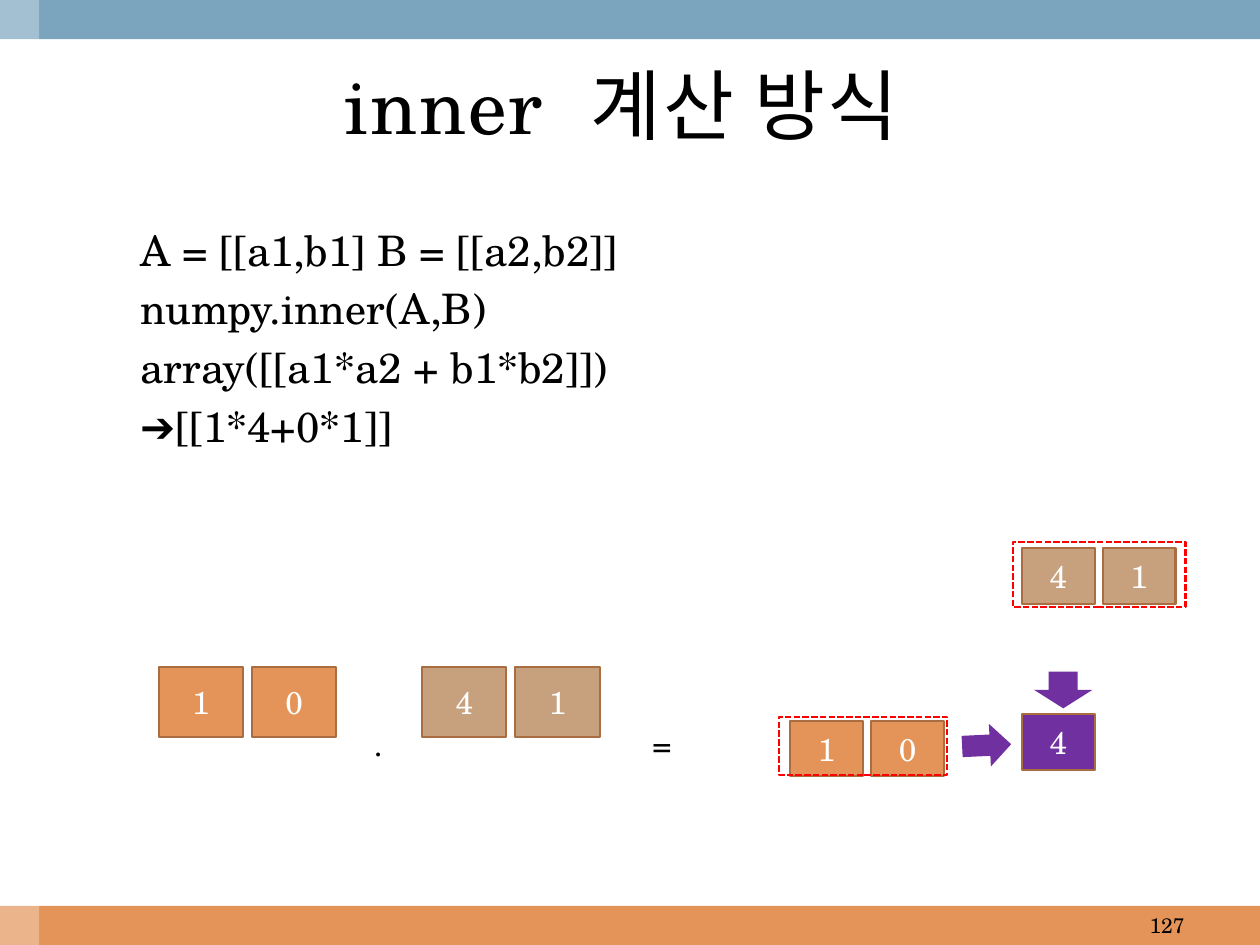
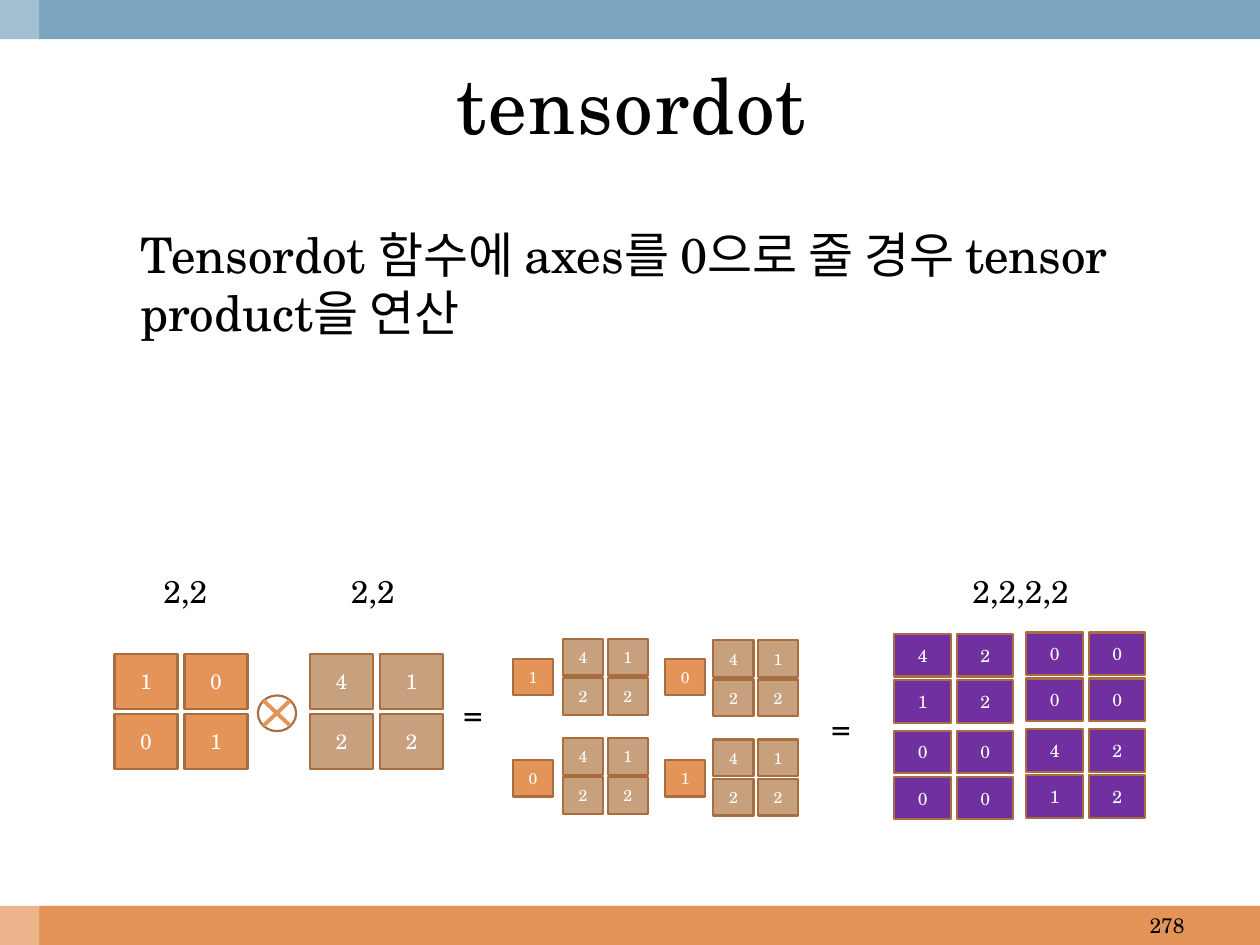
from dataclasses import dataclass
from typing import Any

from lxml import etree
from pptx import Presentation
from pptx.dml.color import RGBColor
from pptx.enum.dml import MSO_LINE
from pptx.enum.shapes import MSO_CONNECTOR, MSO_SHAPE
from pptx.enum.text import MSO_ANCHOR, MSO_AUTO_SIZE, PP_ALIGN
from pptx.oxml.ns import qn
from pptx.util import Cm, Pt

RECTANGLE, ELLIPSE, DOWN_ARROW = MSO_SHAPE.RECTANGLE, MSO_SHAPE.OVAL, MSO_SHAPE.DOWN_ARROW
STRAIGHT = MSO_CONNECTOR.STRAIGHT
DASHED = MSO_LINE.SQUARE_DOT
MIDDLE, TOP = MSO_ANCHOR.MIDDLE, MSO_ANCHOR.TOP
LEFT, CENTER, RIGHT = PP_ALIGN.LEFT, PP_ALIGN.CENTER, PP_ALIGN.RIGHT
FIXED = MSO_AUTO_SIZE.NONE

FONT = "TeX Gyre Schola"
COLOURS = {
    "first": "E49458", "second": "C7A07E", "result": "7030A0", "edge": "A96D41",
    "focus": "FF0000", "header": "7BA5BE", "ink": "000000", "paper": "FFFFFF",
}
SLIDE_WIDTH, SLIDE_HEIGHT, BAND = 25.4, 19.05, 0.79
Matrix = list[list[int]]


@dataclass(frozen=True)
class Box:
    left: float
    top: float
    width: float
    height: float

    def lengths(self) -> tuple[Cm, Cm, Cm, Cm]:
        return Cm(self.left), Cm(self.top), Cm(self.width), Cm(self.height)


@dataclass(frozen=True)
class CellStyle:
    width: float
    height: float
    column_pitch: float
    row_pitch: float
    size: int


@dataclass(frozen=True)
class CellGrid:
    left: float
    top: float
    values: Matrix
    role: str
    style: CellStyle


@dataclass(frozen=True)
class Label:
    text: str
    box: Box
    align: Any = LEFT
    size: int = 18
    anchor: Any = TOP


LARGE = CellStyle(1.7, 1.42, 1.88, 1.42, 18)
MEDIUM = CellStyle(1.47, 1.12, 1.63, 1.12, 18)
OPERAND = CellStyle(1.27, 1.12, 1.41, 1.21, 12)
SCALAR = CellStyle(0.81, 0.74, 3.07, 2.04, 9)
FACTOR = CellStyle(0.81, 0.74, 0.9, 0.79, 9)
PRODUCT = CellStyle(1.14, 0.86, 1.26, 0.93, 10)

FRAME_FORMAT = {"word_wrap": True, "auto_size": FIXED}
CELL_FORMAT = {
    "margin_left": 0, "margin_right": 0, "margin_top": 0, "margin_bottom": 0,
    "vertical_anchor": MIDDLE,
}


def colour(role: str) -> RGBColor:
    return RGBColor.from_string(COLOURS[role])


def apply_format(target: Any, values: dict[str, Any]) -> None:
    for attribute, value in values.items():
        setattr(target, attribute, value)


def write(paragraph: Any, text: str, size: int, role: str, align: Any) -> None:
    paragraph.text = text
    paragraph.alignment = align
    for run in paragraph.runs:
        apply_format(run.font, {"name": FONT, "size": Pt(size)})
        run.font.color.rgb = colour(role)


def place(shape: Any, box: Box) -> None:
    apply_format(shape, dict(zip(("left", "top", "width", "height"), box.lengths())))


def add_block(slide: Any, kind: Any, box: Box, fill: str | None = None,
              line: str | None = None) -> Any:
    block = slide.shapes.add_shape(kind, *box.lengths())
    block.shadow.inherit = False
    if fill:
        block.fill.solid()
        block.fill.fore_color.rgb = colour(fill)
    else:
        block.fill.background()
    if line:
        block.line.color.rgb = colour(line)
        block.line.width = Pt(1.25)
    else:
        block.line.fill.background()
    return block


def add_grid(slide: Any, grid: CellGrid) -> None:
    style = grid.style
    for row, values in enumerate(grid.values):
        for column, value in enumerate(values):
            box = Box(grid.left + column * style.column_pitch,
                      grid.top + row * style.row_pitch, style.width, style.height)
            cell = add_block(slide, RECTANGLE, box, grid.role, "edge")
            apply_format(cell.text_frame, CELL_FORMAT)
            write(cell.text_frame.paragraphs[0], str(value), style.size, "paper", CENTER)


def add_label(slide: Any, label: Label) -> None:
    frame = slide.shapes.add_textbox(*label.box.lengths()).text_frame
    apply_format(frame, FRAME_FORMAT | {"vertical_anchor": label.anchor})
    write(frame.paragraphs[0], label.text, label.size, "ink", label.align)


def add_stroke(slide: Any, start: tuple[float, float], end: tuple[float, float]) -> None:
    stroke = slide.shapes.add_connector(STRAIGHT, *map(Cm, start + end))
    stroke.line.color.rgb = colour("first")
    stroke.line.width = Pt(2.25)
    etree.SubElement(stroke.element.spPr, qn("a:effectLst"))


def add_master_bands(deck: Any, slide: Any) -> None:
    footer = add_block(slide, RECTANGLE, Box(0, SLIDE_HEIGHT - BAND, SLIDE_WIDTH, BAND), "first")
    header = add_block(slide, RECTANGLE, Box(0, 0, SLIDE_WIDTH, BAND), "header")
    veil = add_block(slide, RECTANGLE, Box(0, 0, BAND, SLIDE_HEIGHT), "paper")
    tint = next(veil.element.spPr.iter(qn("a:srgbClr")))
    etree.SubElement(tint, qn("a:alpha"), val="30000")
    for position, band in enumerate((footer, header, veil), start=2):
        deck.slide_master.shapes.element.insert(position, band.element)


def add_page(deck: Any, title: str, lines: list[str], size: int,
             body_height: float, number: str) -> Any:
    slide = deck.slides.add_slide(deck.slide_layouts[1])
    heading, body = slide.shapes.title, slide.placeholders[1]
    place(heading, Box(0.84, BAND, 23.77, 2.62))
    place(body, Box(1.3, 4.39, 22.86, body_height))
    apply_format(heading.text_frame, FRAME_FORMAT | {"vertical_anchor": MIDDLE})
    apply_format(body.text_frame, FRAME_FORMAT | {"vertical_anchor": TOP})
    write(heading.text_frame.paragraphs[0], title, 44, "ink", CENTER)
    for run in heading.text_frame.paragraphs[0].runs:
        run.font._element.set("spc", "100")
    for index, line in enumerate(lines):
        frame = body.text_frame
        paragraph = frame.add_paragraph() if index else frame.paragraphs[0]
        properties = paragraph._p.get_or_add_pPr()
        properties.set("marL", str(Cm(1.27)))
        properties.set("indent", "0")
        etree.SubElement(properties, qn("a:buNone"))
        apply_format(paragraph, {"level": 1, "space_before": Pt(size * 0.2 if index else 0)})
        write(paragraph, line, size, "ink", LEFT)
    add_label(slide, Label(number, Box(18.21, SLIDE_HEIGHT - BAND, 5.92, BAND), RIGHT, 12, MIDDLE))
    return slide


def draw_inner(slide: Any) -> None:
    first, second = [[1, 0]], [[4, 1]]
    inner = sum(a * b for a, b in zip(first[0], second[0]))
    for grid in (
        CellGrid(3.2, 13.44, first, "first", LARGE),
        CellGrid(8.51, 13.44, second, "second", LARGE),
        CellGrid(15.93, 14.53, first, "first", MEDIUM),
        CellGrid(20.6, 11.05, second, "second", MEDIUM),
        CellGrid(20.6, 14.4, [[inner]], "result", MEDIUM),
    ):
        add_grid(slide, grid)
    for focus in (Box(15.7, 14.45, 3.4, 1.17), Box(20.42, 10.92, 3.48, 1.32)):
        add_block(slide, RECTANGLE, focus, line="focus").line.dash_style = DASHED
    add_block(slide, DOWN_ARROW, Box(20.85, 13.54, 1.17, 0.74), "result")
    add_block(slide, DOWN_ARROW, Box(19.46, 14.53, 0.86, 0.99), "result").rotation = 267.3
    for text, left in (("=", 12.9), (".", 7.29)):
        add_label(slide, Label(text, Box(left, 14.5, 0.61, 0.84)))


def draw_tensordot(slide: Any) -> None:
    first, second, transposed = [[1, 0], [0, 1]], [[4, 1], [2, 2]], [[4, 2], [1, 2]]
    add_grid(slide, CellGrid(2.31, 13.18, first, "first", OPERAND))
    add_grid(slide, CellGrid(6.25, 13.18, second, "second", OPERAND))
    add_block(slide, ELLIPSE, Box(5.2, 14.02, 0.77, 0.72), line="edge")
    add_stroke(slide, (5.31, 14.12), (5.85, 14.63))
    add_stroke(slide, (5.85, 14.12), (5.31, 14.63))
    add_grid(slide, CellGrid(10.34, 13.28, first, "first", SCALAR))
    for row, scalars in enumerate(first):
        for column, scalar in enumerate(scalars):
            add_grid(slide, CellGrid(11.35 + 3.03 * column, 12.88 + 2 * row + 0.03 * column,
                                     second, "second", FACTOR))
            scaled = [[scalar * value for value in values] for values in transposed]
            add_grid(slide, CellGrid(18.03 + 2.66 * column, 12.78 + 1.95 * row - 0.03 * column,
                                     scaled, "result", PRODUCT))
    for left, top in ((9.09, 13.87), (16.51, 14.15)):
        add_label(slide, Label("=", Box(left, top, 0.61, 0.84)))
    for shape_text, left, width in (("2,2", 2.95, 1.57), ("2,2", 6.73, 1.57),
                                    ("2,2,2,2", 18.62, 3.91)):
        add_label(slide, Label(shape_text, Box(left, 11.4, width, 1.02), CENTER))


def main() -> None:
    deck = Presentation()
    apply_format(deck, {"slide_width": Cm(SLIDE_WIDTH), "slide_height": Cm(SLIDE_HEIGHT)})
    inner = add_page(deck, "inner  계산 방식 ", [
        "A = [[a1,b1] B = [[a2,b2]]",
        "numpy.inner(A,B)",
        "array([[a1*a2 + b1*b2]])",
        "➔[[1*4+0*1]]",
    ], 24, 6.71, "127")
    add_master_bands(deck, inner)
    draw_inner(inner)
    tensordot = add_page(deck, "tensordot", [
        "Tensordot 함수에 axes를 0으로 줄 경우 tensor product을 연산",
    ], 28, 2.34, "278")
    draw_tensordot(tensordot)
    deck.save("out.pptx")


if __name__ == "__main__":
    main()
